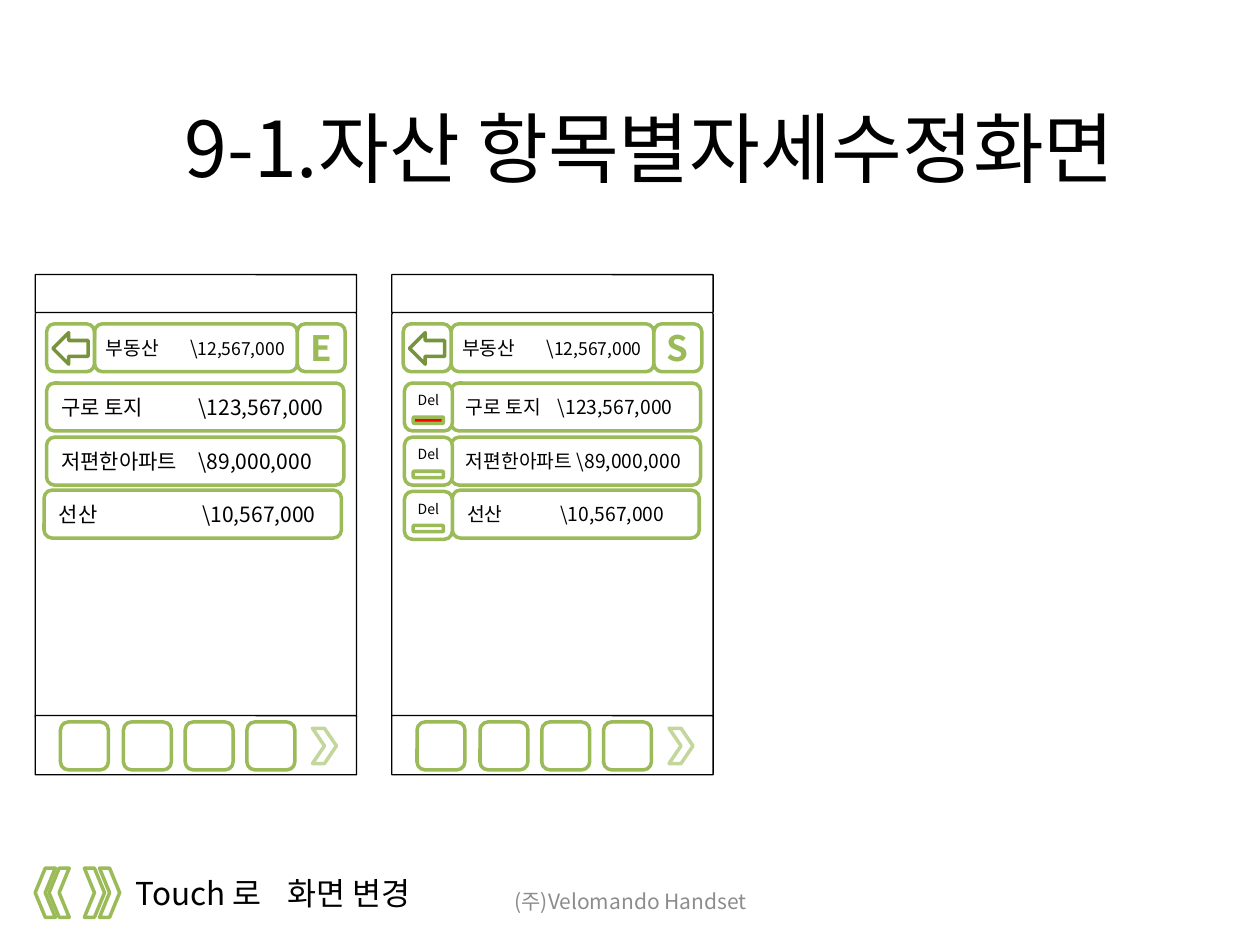
"""Build the wireframe slide for editing asset items."""
import dataclasses
import pptx
import pptx.dml.color
import pptx.enum.shapes
import pptx.enum.text
import pptx.oxml
import pptx.oxml.ns
import pptx.util

SCALE = 9144
KIND = pptx.enum.shapes.MSO_SHAPE
ALIGN = pptx.enum.text.PP_ALIGN
MIDDLE = pptx.enum.text.MSO_ANCHOR.MIDDLE


@dataclasses.dataclass(frozen=True)
class Theme:
    """Hold the colours, line widths and type sizes."""
    font: str = "Noto Sans CJK KR"
    ink: str = "000000"
    paper: str = "FFFFFF"
    green: str = "9BBB59"
    dark: str = "77933C"
    pale: str = "C3D69B"
    red: str = "FF0000"
    grey: str = "8C8C8C"
    thin: float = 0.75
    thick: float = 2
    title: int = 44
    key: int = 20
    note: int = 18
    row: int = 12
    small: int = 11
    sum: int = 10
    tiny: int = 8


THEME = Theme()


def px(*sizes):
    """Turn px into EMU."""
    return [pptx.util.Emu(size * SCALE) for size in sizes]


def tint(text):
    """Make a colour from its hex code."""
    return pptx.dml.color.RGBColor.from_string(text)


def write(shape, runs, color=THEME.ink, align=ALIGN.LEFT, bold=False,
          pad=(10, 5, 10, 5), tab=None):
    """Fill a shape with one paragraph of (text, size) runs."""
    frame = shape.text_frame
    frame.word_wrap = True
    frame.vertical_anchor = MIDDLE
    (frame.margin_left, frame.margin_top,
     frame.margin_right, frame.margin_bottom) = px(*pad)
    para = frame.paragraphs[0]
    para.alignment = align
    if tab:
        props = para._p.get_or_add_pPr()
        stops = pptx.oxml.parse_xml(
            f'<a:tabLst {pptx.oxml.ns.nsdecls("a")}>'
            f'<a:tab pos="{tab * SCALE}" algn="l"/></a:tabLst>')
        props.append(stops)
    for text, size in runs:
        run = para.add_run()
        run.text = text
        font = run.font
        font.size = pptx.util.Pt(size)
        font.name = THEME.font
        font.bold = bold
        font.color.rgb = tint(color)
        east = pptx.oxml.parse_xml(
            f'<a:ea {pptx.oxml.ns.nsdecls("a")} typeface="{THEME.font}"/>')
        run._r.get_or_add_rPr().find(pptx.oxml.ns.qn("a:latin")).addnext(east)


def draw(group, kind, place, line=THEME.green, width=THEME.thick,
         fill=THEME.paper, flip=False, bend=None):
    """Add a filled, outlined preset shape."""
    shape = group.shapes.add_shape(kind, *px(*place))
    shape.shadow.inherit = False
    shape.fill.solid()
    shape.fill.fore_color.rgb = tint(fill)
    shape.line.color.rgb = tint(line)
    shape.line.width = pptx.util.Pt(width)
    if flip:
        shape.element.spPr.find(pptx.oxml.ns.qn("a:xfrm")).set("flipH", "1")
    if bend is not None:
        shape.adjustments[0] = bend
    return shape


def box(group, *place, **style):
    """Add a rounded box."""
    return draw(group, KIND.ROUNDED_RECTANGLE, place, **style)


def label(slide, place, text, size, **style):
    """Add a free line of text."""
    write(slide.shapes.add_textbox(*px(*place)), [(text, size)], **style)


def phone(slide, left, key):
    """Draw a phone screen with its header, and return its group."""
    group = slide.shapes.add_group_shape()
    for top, height in ((247, 324), (568, 47), (218, 30)):
        box(group, left, top, 255, height, line=THEME.ink,
            width=THEME.thin, bend=0.01)
    for step in range(4):
        box(group, left + 20 + round(step * 49.5), 573, 38, 38)
    draw(group, KIND.CHEVRON, (left + 220, 578, 19, 28), line=THEME.pale)
    head = box(group, left + 47, 257, 161, 38)
    write(head, [("부동산\t\\", THEME.small), ("12,567,000", THEME.sum)],
          pad=(7, 5, 0, 5), tab=67)
    box(group, left + 9, 257, 38, 38)
    draw(group, KIND.RIGHT_ARROW, (left + 14, 264, 28, 25),
         line=THEME.dark, flip=True)
    write(box(group, left + 208, 257, 38, 38), [(key, THEME.key)],
          color=THEME.green, align=ALIGN.CENTER, bold=True, pad=(0, 5, 0, 5))
    return group


def item(group, place, text, size, tab=None):
    """Add one asset row."""
    write(box(group, *place), [(text, size)], pad=(10, 5, 0, 5), tab=tab)


def erase(group, left, top, fill):
    """Add a delete button with its bar."""
    write(box(group, left, top, 38, 38), [("Del", THEME.tiny)],
          align=ALIGN.CENTER, pad=(0, 0, 0, 11))
    box(group, left + 7, top + 27, 24, 5, fill=fill)


def arrows(slide, lefts, flip):
    """Add a pair of touch chevrons."""
    group = slide.shapes.add_group_shape()
    for left in lefts:
        draw(group, KIND.CHEVRON, (left, 689, 16, 39), flip=flip)


def main():
    """Build and save the slide."""
    deck = pptx.Presentation()
    deck.slide_width, deck.slide_height = px(1000, 750)
    slide = deck.slides.add_slide(deck.slide_layouts[0])
    title, sub = slide.placeholders
    sub.element.getparent().remove(sub.element)
    title.left, title.top, title.width, title.height = px(91, 36, 850, 161)
    write(title, [("9-1.자산 항목별자세수정화면", THEME.title)], align=ALIGN.CENTER)

    arrows(slide, (67, 79), False)
    label(slide, (98, 689, 249, 40), "Touch 로\t화면 변경", THEME.note, tab=120)
    arrows(slide, (39, 28), True)
    label(slide, (342, 695, 317, 40), "(주)Velomando Handset", THEME.row,
          color=THEME.grey, align=ALIGN.CENTER)

    view = phone(slide, 28, "E")
    for left, top, text, tab in (
            (37, 347, "저편한아파트\t\\89,000,000", 109),
            (37, 304, "구로 토지\t\\123,567,000", 109),
            (35, 389, "선산\t\\10,567,000", 114)):
        item(view, (left, top, 236, 38), text, THEME.row, tab)

    edit = phone(slide, 311, "S")
    for place, text, tab in (
            ((358, 347, 198, 38), "저편한아파트 \\89,000,000", None),
            ((358, 304, 198, 38), "구로 토지\t\\123,567,000", 73),
            ((359, 389, 196, 38), "선산\t\\10,567,000", 74)):
        item(edit, place, text, THEME.small, tab)
    for step, fill in enumerate((THEME.red, THEME.paper, THEME.paper)):
        erase(edit, 321, 304 + step * 43, fill)

    deck.save("out.pptx")


if __name__ == "__main__":
    main()
